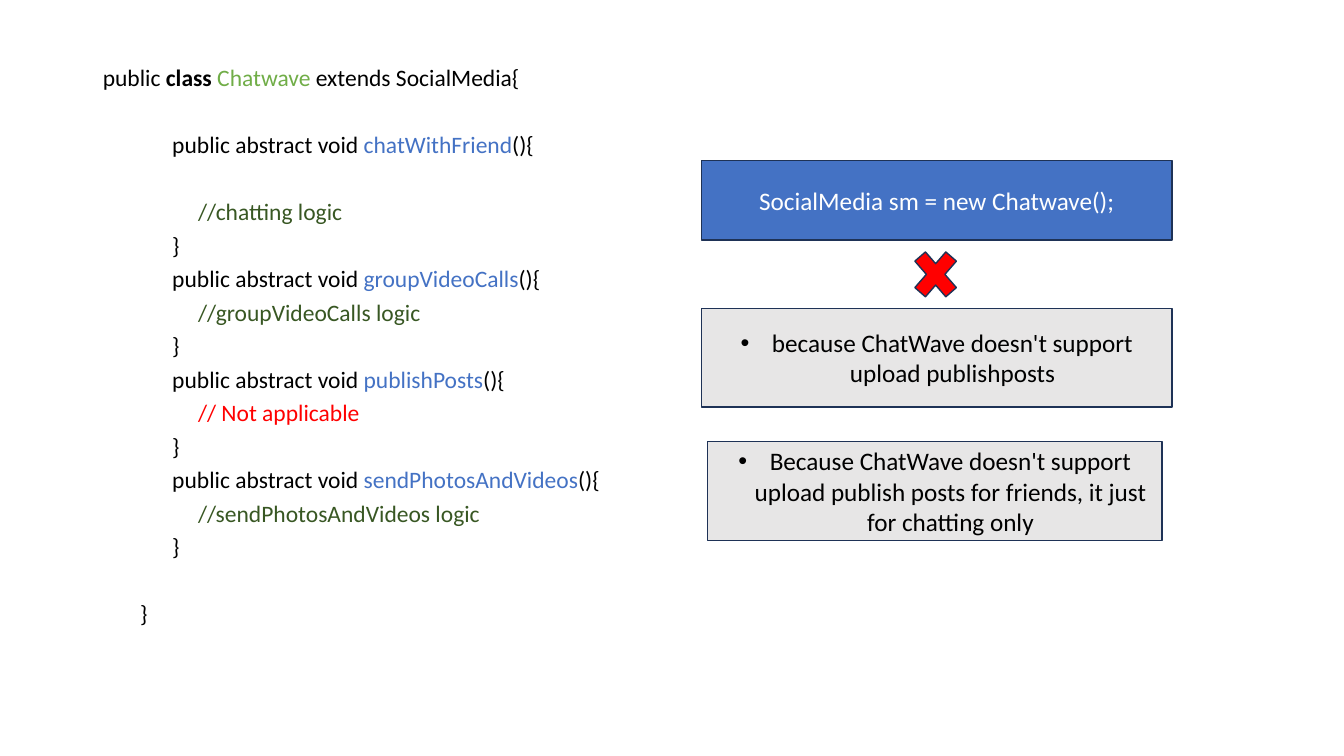
from dataclasses import dataclass

import pptx
import pptx.dml.color
import pptx.enum.shapes
import pptx.enum.text
import pptx.util
from lxml import etree
from pptx.oxml.ns import qn
from pptx.util import Cm

SHAPE = pptx.enum.shapes.MSO_SHAPE
CENTER = pptx.enum.text.PP_ALIGN.CENTER


@dataclass(frozen=True)
class Theme:
    font: str = "Calibri"
    code_size: float = 16.8
    box_size: float = 18
    line_spacing: float = 0.7
    code_gap: float = 9.8
    code_pitch: float = 24.15
    outline_width: float = 1
    text: str = "000000"
    light: str = "FFFFFF"
    class_name: str = "70AD47"
    accent: str = "4472C4"
    comment: str = "385723"
    warning: str = "FF0000"
    note: str = "E7E6E6"
    outline: str = "1E3256"


THEME = Theme()
CLOSING_INDENT = Cm(0.94)
METHOD_INDENT = Cm(1.75)
COMMENT_INDENT = Cm(2.4)
BULLET_INDENT = Cm(0.79)


def rgb(colour):
    return pptx.dml.color.RGBColor.from_string(colour)


def add_span(para, text, size, colour, bold=False):
    span = para.add_run()
    span.text = text
    span.font.name = THEME.font
    span.font.size = pptx.util.Pt(size)
    span.font.bold = bold
    span.font.color.rgb = rgb(colour)


def set_bullet(para, char=None, indent=0, hanging=0):
    properties = para._p.get_or_add_pPr()
    properties.set("marL", str(int(indent)))
    properties.set("indent", str(-int(hanging)))
    if char:
        etree.SubElement(properties, qn("a:buFont")).set("typeface", "Arial")
        etree.SubElement(properties, qn("a:buChar")).set("char", char)
    else:
        etree.SubElement(properties, qn("a:buNone"))


def method_lines(name, comment, colour=THEME.comment, spread=0):
    return [
        (METHOD_INDENT, spread, [("public abstract void ", THEME.text),
                                 (name, THEME.accent), ("(){", THEME.text)]),
        (COMMENT_INDENT, spread, [(comment, colour)]),
        (METHOD_INDENT, 0, [("}", THEME.text)]),
    ]


def code_lines():
    return [
        (0, 0, [("public ", THEME.text), ("class ", THEME.text, True),
                ("Chatwave", THEME.class_name),
                (" extends SocialMedia{", THEME.text)]),
        *method_lines("chatWithFriend", "//chatting logic", spread=1),
        *method_lines("groupVideoCalls", "//groupVideoCalls logic"),
        *method_lines("publishPosts", "// Not applicable", THEME.warning),
        *method_lines("sendPhotosAndVideos", "//sendPhotosAndVideos logic"),
        (CLOSING_INDENT, 1, [("}", THEME.text)]),
    ]


def fill_code(box, lines):
    box.left, box.top, box.width, box.height = Cm(2.59), Cm(1.77), Cm(14.5), Cm(15.4)
    frame = box.text_frame
    frame.word_wrap = True
    frame.auto_size = pptx.enum.text.MSO_AUTO_SIZE.NONE
    frame.vertical_anchor = pptx.enum.text.MSO_ANCHOR.TOP
    frame.margin_left = frame.margin_right = frame.margin_top = frame.margin_bottom = 0
    for number, (indent, skipped, spans) in enumerate(lines):
        para = frame.add_paragraph() if number else frame.paragraphs[0]
        para.line_spacing = THEME.line_spacing
        gap = THEME.code_gap + skipped * THEME.code_pitch if number else 0
        para.space_before = pptx.util.Pt(gap)
        set_bullet(para, indent=indent)
        for text, colour, *bold in spans:
            add_span(para, text, THEME.code_size, colour, bool(bold))


def add_block(page, kind, place, fill):
    block = page.shapes.add_shape(kind, *map(Cm, place))
    block.shadow.inherit = False
    block.fill.solid()
    block.fill.fore_color.rgb = rgb(fill)
    block.line.color.rgb = rgb(THEME.outline)
    block.line.width = pptx.util.Pt(THEME.outline_width)
    return block


def add_box(page, place, text, fill, colour, bullet=None):
    frame = add_block(page, SHAPE.RECTANGLE, place, fill).text_frame
    frame.word_wrap = True
    frame.vertical_anchor = pptx.enum.text.MSO_ANCHOR.MIDDLE
    para = frame.paragraphs[0]
    para.alignment = CENTER
    if bullet:
        set_bullet(para, bullet, BULLET_INDENT, BULLET_INDENT)
    add_span(para, text, THEME.box_size, colour)


def main():
    deck = pptx.Presentation()
    deck.slide_width, deck.slide_height = Cm(33.87), Cm(19.05)
    page = deck.slides.add_slide(deck.slide_layouts.get_by_name("Title and Content"))
    title = page.shapes.title.element
    title.getparent().remove(title)
    fill_code(page.placeholders[1], code_lines())

    add_box(page, (17.68, 4.04, 11.86, 2.01), "SocialMedia sm = new Chatwave();",
            THEME.accent, THEME.light)
    add_block(page, SHAPE.MATH_MULTIPLY, (22.83, 6.05, 1.5, 1.73), THEME.warning)
    add_box(page, (17.68, 7.77, 11.86, 2.49),
            "because ChatWave doesn't support upload publishposts",
            THEME.note, THEME.text, "•")
    add_box(page, (17.83, 11.13, 11.46, 2.49),
            "Because ChatWave doesn't support upload publish posts for friends, "
            "it just for chatting only",
            THEME.note, THEME.text, "•")
    deck.save("out.pptx")


if __name__ == "__main__":
    main()
